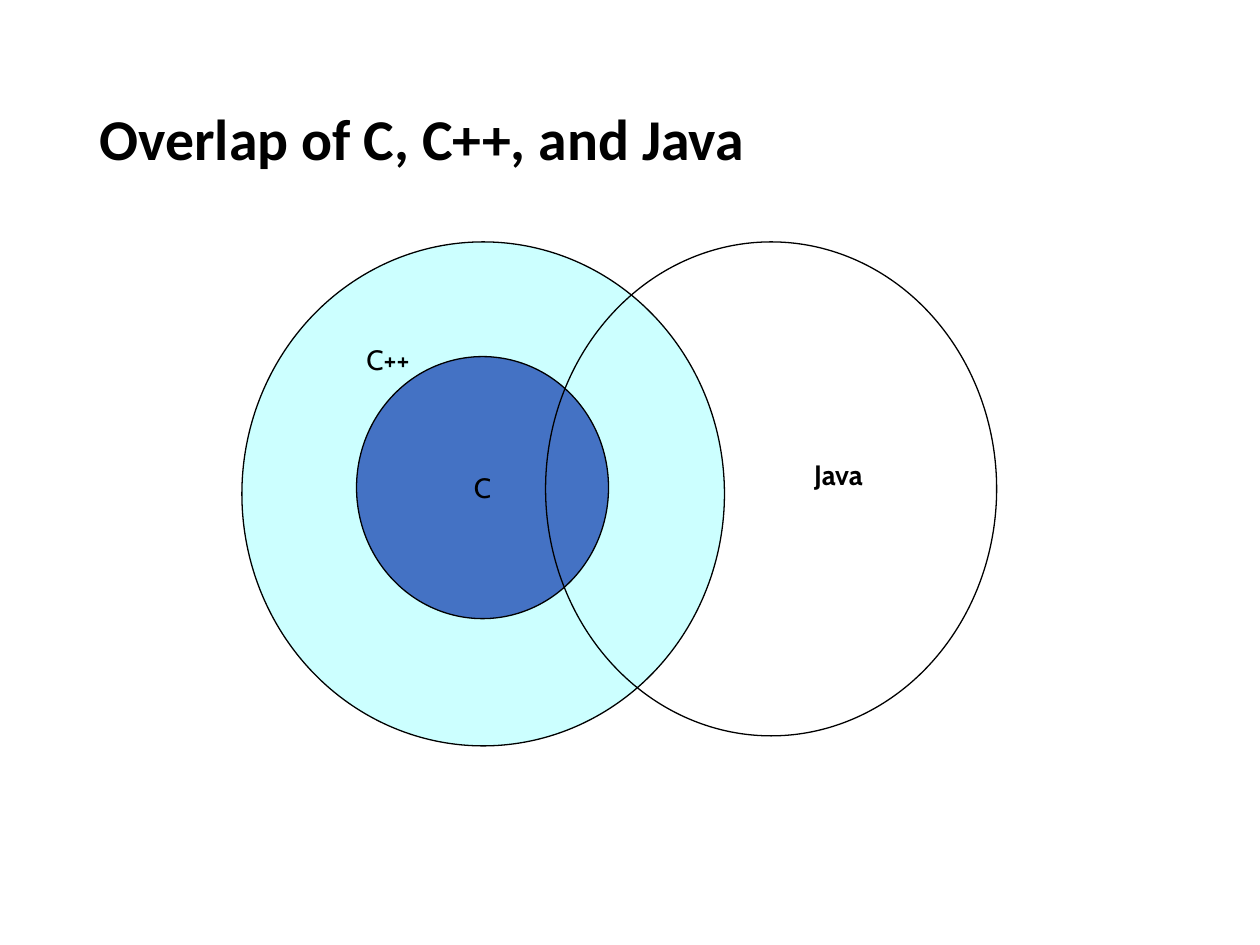
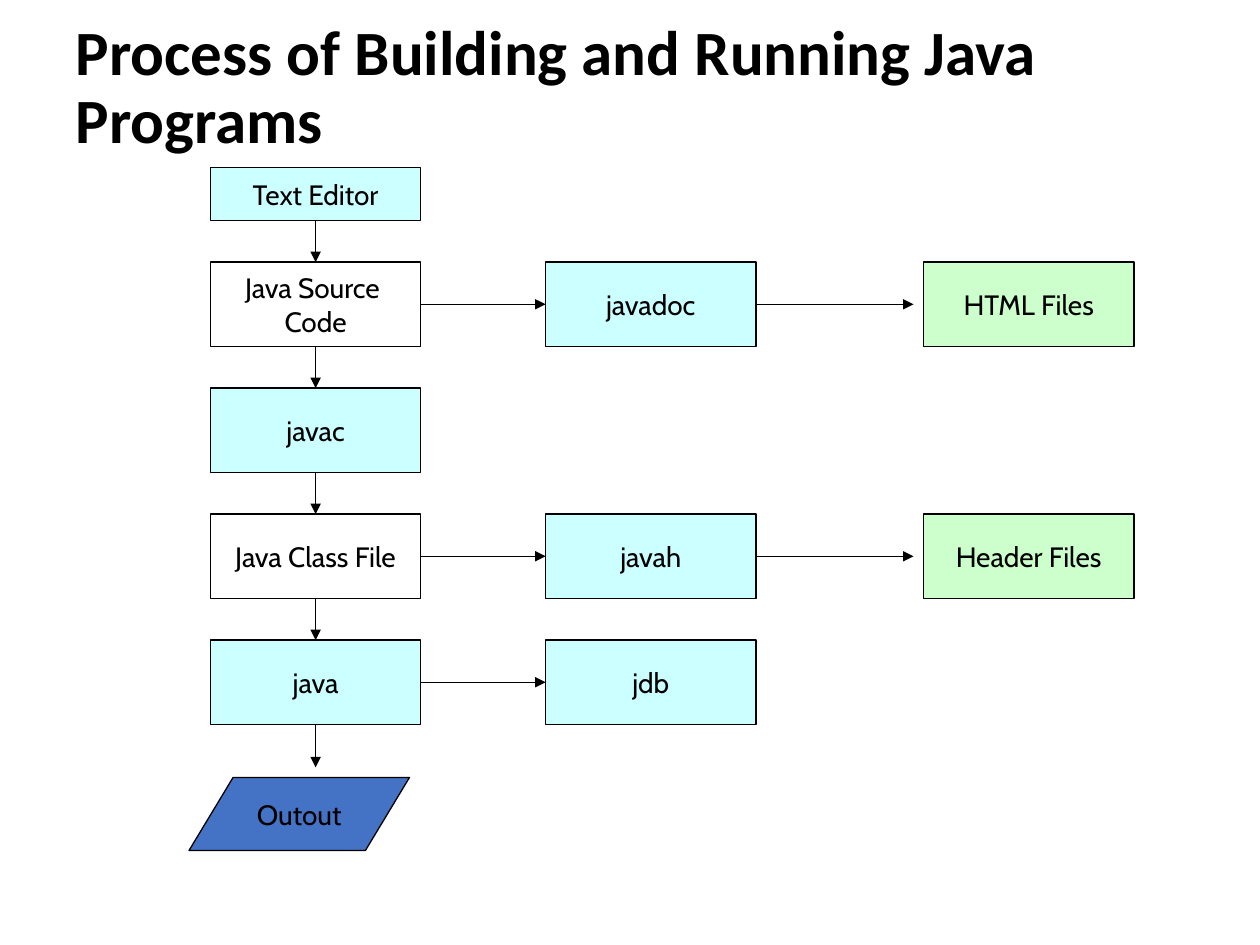
from lxml import etree
from pptx import Presentation
from pptx.dml.color import RGBColor
from pptx.enum.shapes import MSO_CONNECTOR as Connector, MSO_SHAPE as Shape
from pptx.enum.text import MSO_ANCHOR as Anchor, MSO_AUTO_SIZE as AutoSize, PP_ALIGN as Align
from pptx.oxml.ns import qn
from pptx.util import Inches, Pt

BLACK, WHITE = "000000", "FFFFFF"
CYAN, BLUE, GREEN = "CCFFFF", "4472C4", "CCFFCC"
TITLE_FONT, LABEL_FONT = "Calibri", "Cabin"
LINE_WIDTH = Pt(0.75)
BOTTOM, LEFT, RIGHT = 2, 1, 3  # connection sites of a rectangle


def color(hex_value):
    return RGBColor.from_string(hex_value)


def write(frame, text, size=16, font=LABEL_FONT, bold=False, align=Align.CENTER,
          wrap=False, anchor=Anchor.MIDDLE, fit=AutoSize.NONE, spacing=None):
    frame.word_wrap = wrap
    frame.auto_size = fit
    frame.vertical_anchor = anchor
    paragraph = frame.paragraphs[0]
    paragraph.text = text
    paragraph.alignment = align
    paragraph.line_spacing = spacing
    for run in paragraph.runs:
        run.font.size = Pt(size)
        run.font.name = font
        run.font.bold = bold
        run.font.color.rgb = color(BLACK)


def add_titled_slide(prs, text, box, size):
    slide = prs.slides.add_slide(prs.slide_layouts[5])
    slide.background.fill.solid()
    slide.background.fill.fore_color.rgb = color(WHITE)
    title = slide.shapes.title
    title.left, title.top, title.width, title.height = map(Inches, box)
    write(title.text_frame, text, size=size, font=TITLE_FONT, bold=True,
          align=Align.LEFT, wrap=True, spacing=0.9)
    return slide


def add_node(slide, kind, box, fill=None, text=None):
    node = slide.shapes.add_shape(kind, *map(Inches, box))
    node.shadow.inherit = False
    if fill:
        node.fill.solid()
        node.fill.fore_color.rgb = color(fill)
    else:
        node.fill.background()
    node.line.color.rgb = color(BLACK)
    node.line.width = LINE_WIDTH
    if text:
        write(node.text_frame, text)
    return node


def add_label(slide, box, text, bold=False):
    label = slide.shapes.add_textbox(*map(Inches, box))
    write(label.text_frame, text, bold=bold, anchor=Anchor.TOP,
          fit=AutoSize.SHAPE_TO_FIT_TEXT)


def add_arrow(slide, source, target, down=False, gap=0):
    """Lead from source to target, joined to it unless a gap is left."""
    if down:
        x, y = source.left + source.width // 2, source.top + source.height
        end_x, end_y = x, target.top - Inches(gap)
    else:
        x, y = source.left + source.width, source.top + source.height // 2
        end_x, end_y = target.left - Inches(gap), y
    arrow = slide.shapes.add_connector(Connector.STRAIGHT, x, y, end_x, end_y)
    arrow.begin_connect(source, BOTTOM if down else RIGHT)
    if not gap:
        arrow.end_connect(target, 0 if down else LEFT)
    arrow.line.color.rgb = color(BLACK)
    arrow.line.width = LINE_WIDTH
    etree.SubElement(arrow.line._get_or_add_ln(), qn("a:tailEnd"), type="triangle")
    etree.SubElement(arrow._element.spPr, qn("a:effectLst"))


def draw_language_overlap(slide, left, top):
    def at(x, y, width, height):
        return left + x, top + y, width, height

    add_node(slide, Shape.OVAL, at(0, 0, 3.83, 4), CYAN)
    add_node(slide, Shape.OVAL, at(0.91, 0.91, 2, 2.08), BLUE, "C")
    add_label(slide, at(0.83, 0.75, 0.66, 0.37), "C++")
    add_node(slide, Shape.OVAL, at(2.41, 0, 3.58, 3.92))
    add_label(slide, at(4.38, 1.66, 0.71, 0.37), "Java", bold=True)


def draw_build_flow(slide, left, top):
    width, height, gap = 1.67, 0.67, 0.08
    first_row, row_step = 0.75, 1
    tool_column, result_column = 2.66, 5.66

    def step(column, row, text, fill=None):
        y = top + first_row + row * row_step
        return add_node(slide, Shape.RECTANGLE, (left + column, y, width, height), fill, text)

    # Main chain, from editing to running
    editor = add_node(slide, Shape.RECTANGLE, (left, top, width, 0.42), CYAN, "Text Editor")
    chain = [step(0, row, text, fill) for row, (text, fill) in enumerate([
        ("Java Source \nCode", None), ("javac", CYAN),
        ("Java Class File", None), ("java", CYAN)])]
    output = add_node(slide, Shape.FLOWCHART_DATA, (left - 0.17, top + 4.84, 1.75, 0.58),
                      BLUE, "Outout")
    for source, target in zip([editor] + chain, chain):
        add_arrow(slide, source, target, down=True)
    add_arrow(slide, chain[-1], output, down=True, gap=gap)

    # Side branches: tool and the files it makes
    for row, tool_name, result_name in [
            (0, "javadoc", "HTML Files"), (2, "javah", "Header Files"), (3, "jdb", None)]:
        tool = step(tool_column, row, tool_name, CYAN)
        add_arrow(slide, chain[row], tool)
        if result_name:
            result = step(result_column, row, result_name, GREEN)
            add_arrow(slide, tool, result, gap=gap)


def main():
    prs = Presentation()
    prs.slide_width, prs.slide_height = Inches(10), Inches(7.5)

    overlap = add_titled_slide(prs, "Overlap of C, C++, and Java", (0.69, 0.4, 8.62, 1.45), 33)
    draw_language_overlap(overlap, 1.92, 1.92)

    process = add_titled_slide(prs, "Process of Building and Running Java Programs",
                               (0.5, 0.08, 9, 1.25), 36)
    draw_build_flow(process, 1.67, 1.33)

    prs.save("out.pptx")


if __name__ == "__main__":
    main()
